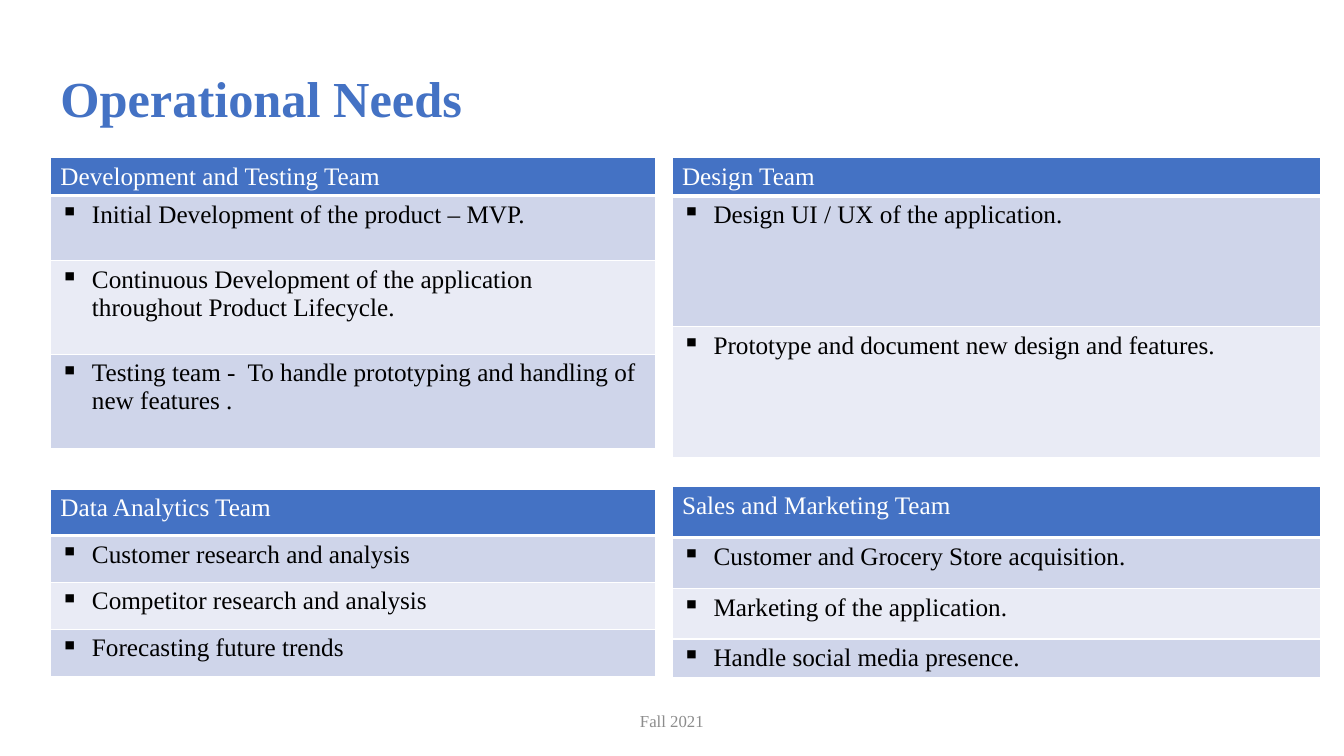
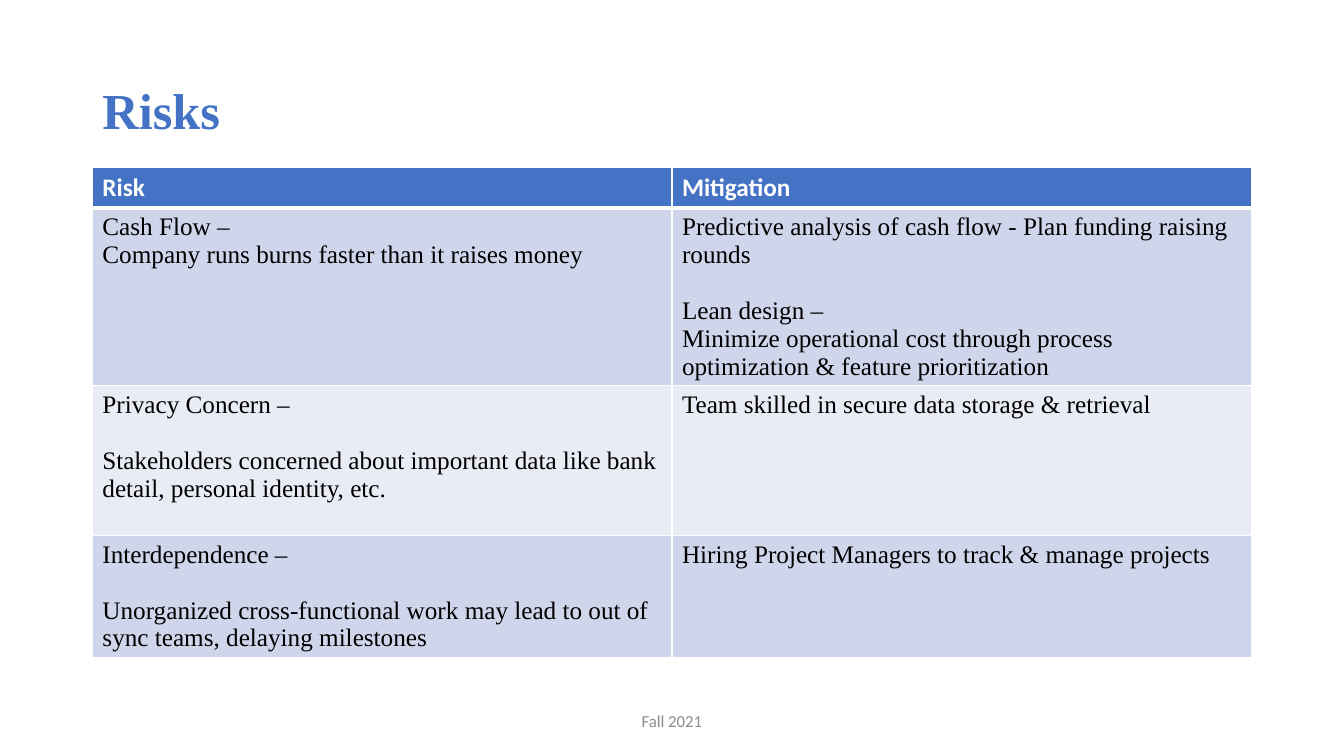
from dataclasses import dataclass
from typing import Any

from lxml import etree
from pptx import Presentation
from pptx.dml.color import RGBColor
from pptx.enum.text import MSO_ANCHOR, MSO_AUTO_SIZE, PP_ALIGN
from pptx.oxml.ns import qn
from pptx.util import Pt

MIDDLE = MSO_ANCHOR.MIDDLE
NO_FIT = MSO_AUTO_SIZE.NONE
LEFT, CENTER = PP_ALIGN.LEFT, PP_ALIGN.CENTER

COLORS = {
    "accent": "4472C4",
    "band_dark": "CFD5EA",
    "band_light": "E9EBF5",
    "white": "FFFFFF",
    "black": "000000",
    "footer": "8C8C8C",
}
SERIF, SANS = "Times New Roman", "Calibri"
TITLE_FORMAT = {"name": SERIF, "size": Pt(36), "bold": True}
BODY_FORMAT = {"name": SERIF, "size": Pt(18), "bold": False}
FOOTER_TEXT = "Fall 2021"
TITLE_ONLY = 5
BULLET_INDENT = 22.5
BLANK_LINE = 20
THIN, THICK = 1, 3


@dataclass(frozen=True)
class Line:
    text: str
    space_before: float = 0


Cell = tuple[Line, ...]


@dataclass(frozen=True)
class Grid:
    left: float
    top: float
    column_width: float
    row_heights: tuple[float, ...]
    rows: tuple[tuple[Cell, ...], ...]
    bulleted: bool = False
    header_font: str = SERIF
    header_bold: bool = False


@dataclass(frozen=True)
class Page:
    title: str
    title_left: float
    title_top: float
    footer_font: str
    grids: tuple[Grid, ...]


def column_of(*texts: str) -> tuple[tuple[Cell, ...], ...]:
    """Turn texts into the rows of a one-column grid."""
    return tuple(((Line(text),),) for text in texts)


LEFT_TEAMS = {"left": 36, "column_width": 432, "bulleted": True}
RIGHT_TEAMS = {"left": 480, "column_width": 463.5, "bulleted": True}

TEAM_GRIDS = (
    Grid(
        top=112.5,
        row_heights=(27, 46.5, 67, 67),
        rows=column_of(
            "Development and Testing Team",
            "Initial Development of the product – MVP.",
            "Continuous Development of the application throughout Product Lifecycle.",
            "Testing team -  To handle prototyping and handling of new features .",
        ),
        **LEFT_TEAMS,
    ),
    Grid(
        top=112.5,
        row_heights=(27.5, 93.5, 93.5),
        rows=column_of(
            "Design Team",
            "Design UI / UX of the application.",
            "Prototype and document new design and features.",
        ),
        **RIGHT_TEAMS,
    ),
    Grid(
        top=347.5,
        row_heights=(36.5, 36.5, 36, 27.5),
        rows=column_of(
            "Sales and Marketing Team",
            "Customer and Grocery Store acquisition.",
            "Marketing of the application.",
            "Handle social media presence.",
        ),
        **RIGHT_TEAMS,
    ),
    Grid(
        top=349.5,
        row_heights=(33, 33.5, 33.5, 34),
        rows=column_of(
            "Data Analytics Team",
            "Customer research and analysis",
            "Competitor research and analysis",
            "Forecasting future trends",
        ),
        **LEFT_TEAMS,
    ),
)

RISK_GRID = Grid(
    left=66,
    top=119.5,
    column_width=414,
    row_heights=(29, 126.5, 107, 86.5),
    header_font=SANS,
    header_bold=True,
    rows=(
        ((Line("Risk"),), (Line("Mitigation"),)),
        (
            (
                Line("Cash Flow –"),
                Line("Company runs burns faster than it raises money"),
            ),
            (
                Line("Predictive analysis of cash flow - Plan funding raising rounds"),
                Line("Lean design –", BLANK_LINE),
                Line(
                    "Minimize operational cost through process "
                    "optimization & feature prioritization"
                ),
            ),
        ),
        (
            (
                Line("Privacy Concern –"),
                Line(
                    "Stakeholders concerned about important data like bank "
                    "detail, personal identity, etc.",
                    BLANK_LINE,
                ),
            ),
            (Line("Team skilled in secure data storage & retrieval"),),
        ),
        (
            (
                Line("Interdependence –"),
                Line(
                    "Unorganized cross-functional work may lead to out of "
                    "sync teams, delaying milestones",
                    BLANK_LINE,
                ),
            ),
            (Line("Hiring Project Managers to track & manage projects"),),
        ),
    ),
)

PAGES = (
    Page("Operational Needs", 36, 20, SERIF, TEAM_GRIDS),
    Page("Risks", 66, 28.5, SANS, (RISK_GRID,)),
)


def rgb(color: str) -> RGBColor:
    return RGBColor.from_string(COLORS[color])


def set_all(target: Any, values: dict[str, Any]) -> None:
    for name, value in values.items():
        setattr(target, name, value)


def write(para: Any, text: str, color: str, font_format: dict[str, Any]) -> None:
    span = para.add_run()
    span.text = text
    set_all(span.font, font_format)
    span.font.color.rgb = rgb(color)


def add_bullet(para: Any) -> None:
    properties = para._p.get_or_add_pPr()
    properties.set("marL", str(Pt(BULLET_INDENT)))
    properties.set("indent", str(-Pt(BULLET_INDENT)))
    etree.SubElement(properties, qn("a:buChar")).set("char", "▪")


def set_borders(cell: Any, top: float, bottom: float) -> None:
    properties = cell._tc.get_or_add_tcPr()
    widths = {"lnL": THIN, "lnR": THIN, "lnT": top, "lnB": bottom}
    for position, (side, width) in enumerate(widths.items()):
        border = etree.Element(qn(f"a:{side}"), w=str(Pt(width)))
        fill = etree.SubElement(border, qn("a:solidFill"))
        etree.SubElement(fill, qn("a:srgbClr")).set("val", COLORS["white"])
        properties.insert(position, border)


def fill_cell(cell: Any, lines: Cell, row_index: int, grid: Grid) -> None:
    is_header = row_index == 0
    font_format = dict(BODY_FORMAT)
    if is_header:
        font_format.update(name=grid.header_font, bold=grid.header_bold)
        background, color = "accent", "white"
    else:
        background = "band_dark" if row_index % 2 else "band_light"
        color = "black"
    cell.fill.solid()
    cell.fill.fore_color.rgb = rgb(background)
    set_borders(
        cell,
        top=THICK if row_index == 1 else THIN,
        bottom=THICK if is_header else THIN,
    )
    frame = cell.text_frame
    for index, line in enumerate(lines):
        para = frame.add_paragraph() if index else frame.paragraphs[0]
        if line.space_before:
            para.space_before = Pt(line.space_before)
        if grid.bulleted and not is_header:
            add_bullet(para)
        write(para, line.text, color, font_format)


def add_grid(slide: Any, grid: Grid) -> None:
    column_count = len(grid.rows[0])
    table = slide.shapes.add_table(
        len(grid.rows),
        column_count,
        Pt(grid.left),
        Pt(grid.top),
        Pt(grid.column_width * column_count),
        Pt(sum(grid.row_heights)),
    ).table
    for column in table.columns:
        column.width = Pt(grid.column_width)
    for row_index, (height, cells) in enumerate(zip(grid.row_heights, grid.rows)):
        table.rows[row_index].height = Pt(height)
        for column_index, lines in enumerate(cells):
            fill_cell(table.cell(row_index, column_index), lines, row_index, grid)


def add_title(slide: Any, page: Page) -> None:
    title = slide.shapes.title
    set_all(title, {
        "left": Pt(page.title_left), "top": Pt(page.title_top),
        "width": Pt(828), "height": Pt(104.5),
    })
    set_all(title.text_frame, {
        "vertical_anchor": MIDDLE, "word_wrap": True, "auto_size": NO_FIT,
    })
    para = title.text_frame.paragraphs[0]
    set_all(para, {"alignment": LEFT, "line_spacing": 0.9})
    write(para, page.title, "accent", TITLE_FORMAT)


def add_footer(slide: Any, font_name: str) -> None:
    box = slide.shapes.add_textbox(Pt(318), Pt(500.5), Pt(324), Pt(28.5))
    set_all(box.text_frame, {"vertical_anchor": MIDDLE, "word_wrap": True})
    para = box.text_frame.paragraphs[0]
    para.alignment = CENTER
    write(para, FOOTER_TEXT, "footer", {"name": font_name, "size": Pt(12)})


def main() -> None:
    deck = Presentation()
    set_all(deck, {"slide_width": Pt(960), "slide_height": Pt(540)})
    for page in PAGES:
        slide = deck.slides.add_slide(deck.slide_layouts[TITLE_ONLY])
        add_title(slide, page)
        for grid in page.grids:
            add_grid(slide, grid)
        add_footer(slide, page.footer_font)
    deck.save("out.pptx")


if __name__ == "__main__":
    main()
